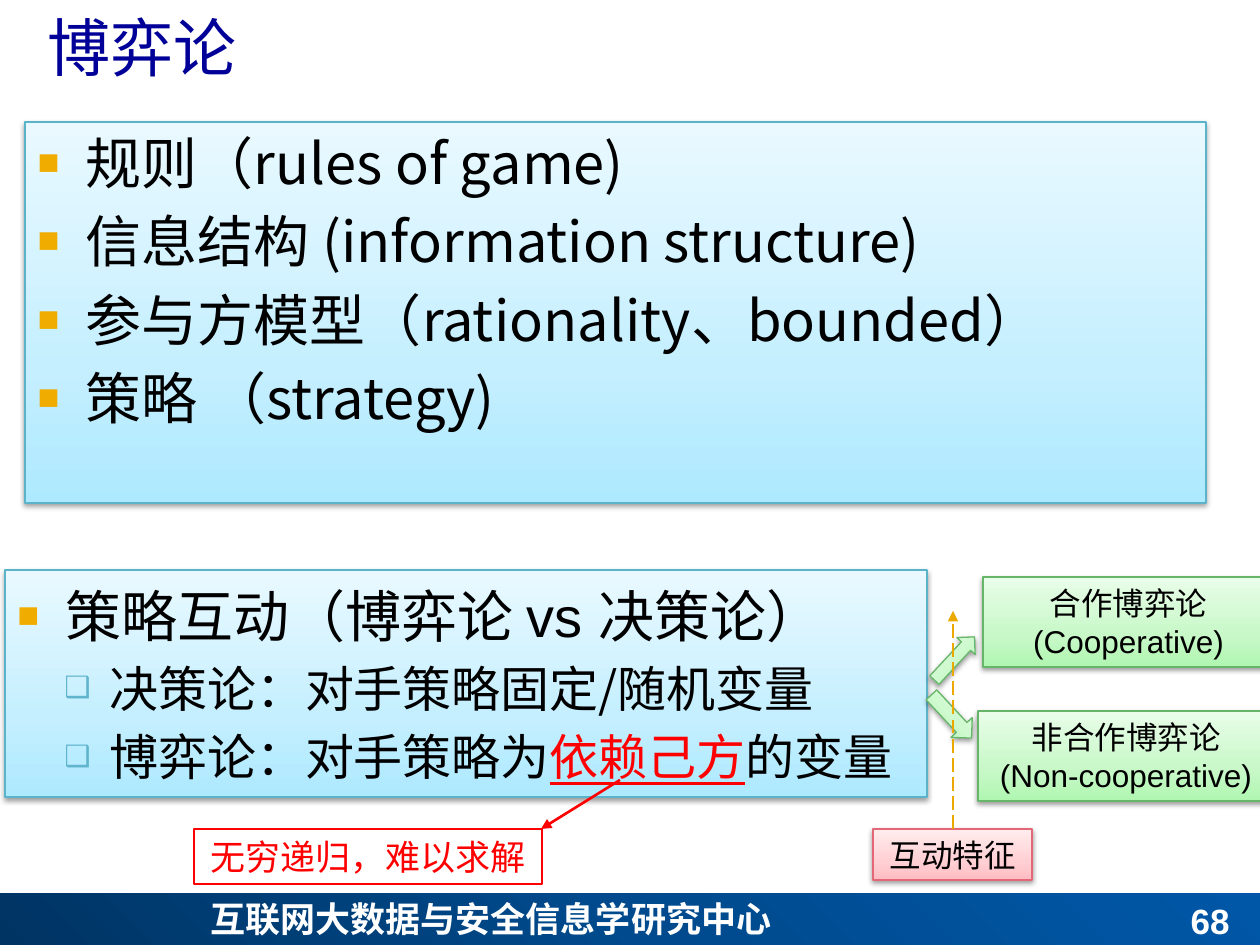
import pptx
import pptx.dml.color
import pptx.enum.dml
import pptx.enum.shapes
import pptx.enum.text
import pptx.oxml
import pptx.oxml.ns
import pptx.util

RGBColor = pptx.dml.color.RGBColor
MSO_SHAPE = pptx.enum.shapes.MSO_SHAPE
ALIGN = pptx.enum.text.PP_ALIGN
ANCHOR = pptx.enum.text.MSO_ANCHOR
qn = pptx.oxml.ns.qn

EMU_PER_PX = 914400 / 126
CJK = "Noto Sans CJK SC"
LATIN = "Arial"

BLACK = RGBColor(0x00, 0x00, 0x00)
WHITE = RGBColor(0xFF, 0xFF, 0xFF)
RED = RGBColor(0xFF, 0x00, 0x00)
NAVY = RGBColor(0x00, 0x00, 0x99)
GOLD = RGBColor(0xF0, 0xAD, 0x00)
DARK_GOLD = RGBColor(0xEB, 0xA9, 0x00)
TEAL = RGBColor(0x60, 0xB5, 0xCC)

# Each theme: gradient colours at 0, 35 and 100 %, then the outline
CYAN_THEME = ("ADE9FF", "C5EFFF", "E9F9FF"), RGBColor(0x5B, 0xB3, 0xCA)
GREEN_THEME = ("B0F6B1", "C8F8C8", "E9FDE9"), RGBColor(0x67, 0xB5, 0x69)
PINK_THEME = ("FFBCC2", "FFCFD3", "FFEDEE"), RGBColor(0xE4, 0x67, 0x78)
FOOTER_COLOURS = ("003463", "004A8D", "0057A7")

# Each bullet level: left margin and indent in px, sign, colour, size in %
BULLETS = [(48, -48, "■", GOLD, 65), (92, -45, "❑", TEAL, 60)]


def px(value):
    return pptx.util.Emu(round(value * EMU_PER_PX))


def xml(tag, content="", **attributes):
    settings = " ".join(f'{name}="{value}"' for name, value in attributes.items())
    namespace = pptx.oxml.ns.nsdecls("a")
    return pptx.oxml.parse_xml(f"<a:{tag} {namespace} {settings}>{content}</a:{tag}>")


def place(shape, left, top, width, height):
    shape.left, shape.top, shape.width, shape.height = map(px, (left, top, width, height))


def add_run(paragraph, text, size, font=CJK, colour=BLACK, bold=False, underline=False):
    run = paragraph.add_run()
    run.text = text
    run.font.size = pptx.util.Pt(size)
    run.font.name = font
    run.font.color.rgb = colour
    run.font.bold = bold
    run.font.underline = underline
    run.font._element.append(xml("ea", typeface=CJK))


def add_paragraph(frame, alignment=ALIGN.LEFT):
    first = frame.paragraphs[0]
    paragraph = frame.add_paragraph() if first.runs else first
    paragraph.alignment = alignment
    return paragraph


def add_bullet_paragraph(frame, level=0):
    is_first = not frame.paragraphs[0].runs
    paragraph = add_paragraph(frame)
    paragraph.level = level
    margin, indent, sign, colour, percent = BULLETS[level]
    properties = paragraph._p.get_or_add_pPr()
    properties.set("marL", str(px(margin)))
    properties.set("indent", str(px(indent)))
    space = 0 if is_first else 20000
    properties.append(xml("spcBef", f'<a:spcPct val="{space}"/>'))
    properties.append(xml("buClr", f'<a:srgbClr val="{colour}"/>'))
    properties.append(xml("buSzPct", val=percent * 1000))
    properties.append(xml("buFont", typeface=LATIN))
    properties.append(xml("buChar", char=sign))
    return paragraph


def fill_gradient(shape, colours, middle):
    shape.fill.gradient()
    shape.fill.gradient_angle = 90
    gradient = shape._element.spPr.find(qn("a:gradFill"))
    stops = gradient.find(qn("a:gsLst"))
    stops.clear()
    for position, colour in zip((0, middle, 100), colours):
        stops.append(xml("gs", f'<a:srgbClr val="{colour}"/>', pos=position * 1000))
    return gradient


def apply_theme(shape, theme):
    colours, outline = theme
    fill_gradient(shape, colours, 35)
    shape.line.color.rgb = outline
    shape.line.width = pptx.util.Pt(0.75)
    shape.shadow.inherit = False
    shape._element.spPr.find(qn("a:effectLst")).append(xml(
        "outerShdw", '<a:srgbClr val="000000"><a:alpha val="38000"/></a:srgbClr>',
        blurRad=pptx.util.Pt(3.1), dist=pptx.util.Pt(1.6), dir=90 * 60000, rotWithShape=0))


def add_block(slide, box, theme, kind=MSO_SHAPE.RECTANGLE, rotation=0):
    shape = slide.shapes.add_shape(kind, *map(px, box))
    apply_theme(shape, theme)
    shape.rotation = rotation
    shape.text_frame.word_wrap = True
    return shape


def add_label(slide, box, theme, lines):
    frame = add_block(slide, box, theme).text_frame
    for text, font in lines:
        add_run(add_paragraph(frame, ALIGN.CENTER), text, 18, font)


def add_text(slide, box, text, font, colour, alignment, bold=False, anchor=ANCHOR.TOP):
    shape = slide.shapes.add_textbox(*map(px, box))
    shape.text_frame.word_wrap = True
    shape.text_frame.vertical_anchor = anchor
    add_run(add_paragraph(shape.text_frame, alignment), text, 20, font, colour, bold)
    return shape


def add_arrow(slide, start, end, colour, width, dash=None):
    connector = slide.shapes.add_connector(
        pptx.enum.shapes.MSO_CONNECTOR.STRAIGHT, *map(px, start + end))
    connector.line.color.rgb = colour
    connector.line.width = pptx.util.Pt(width)
    if dash:
        connector.line.dash_style = dash
    connector.line._get_or_add_ln().append(xml("tailEnd", type="triangle"))
    connector._element.spPr.append(xml("effectLst"))


def add_footer(slide):
    band = slide.shapes.add_shape(MSO_SHAPE.RECTANGLE, *map(px, (0, 893, 1260, 55)))
    band.line.fill.background()
    band.shadow.inherit = False
    gradient = fill_gradient(band, FOOTER_COLOURS, 50)
    gradient.replace(gradient.find(qn("a:lin")), xml(
        "path", '<a:fillToRect t="100000" r="100000"/>', path="circle"))
    add_text(slide, (198, 891, 863, 55), "互联网大数据与安全信息学研究中心",
             CJK, WHITE, ALIGN.JUSTIFY, bold=True)
    add_text(slide, (948, 893, 294, 55), "68", LATIN, WHITE, ALIGN.RIGHT,
             bold=True, anchor=ANCHOR.BOTTOM)


def fill_title(title):
    place(title, 35, -4, 1225, 100)
    title.text_frame.vertical_anchor = ANCHOR.MIDDLE
    title.text_frame.auto_size = pptx.enum.text.MSO_AUTO_SIZE.NONE
    add_run(add_paragraph(title.text_frame), "博弈论", 36, colour=NAVY)


def fill_elements(body):
    place(body, 25, 122, 1181, 381)
    apply_theme(body, CYAN_THEME)
    body.text_frame.auto_size = pptx.enum.text.MSO_AUTO_SIZE.NONE
    for text in ("规则（rules of game)", "信息结构 (information structure)",
                 "参与方模型（rationality、bounded）", "策略 （strategy)"):
        add_run(add_bullet_paragraph(body.text_frame), text, 32)


def add_interaction(slide):
    frame = add_block(slide, (5, 570, 922, 227), CYAN_THEME).text_frame
    heading = add_bullet_paragraph(frame)
    add_run(heading, "策略互动（博弈论 ", 32)
    add_run(heading, "vs ", 32, LATIN)
    add_run(heading, "决策论）", 32)
    add_run(add_bullet_paragraph(frame, 1), "决策论：对手策略固定/随机变量", 28)
    game = add_bullet_paragraph(frame, 1)
    add_run(game, "博弈论：对手策略为", 28)
    add_run(game, "依赖己方", 28, colour=RED, underline=True)
    add_run(game, "的变量", 28)


def main():
    presentation = pptx.Presentation()
    presentation.slide_width, presentation.slide_height = px(1260), px(945)
    slide = presentation.slides.add_slide(presentation.slide_layouts[1])

    # Title, main list and footer
    add_footer(slide)
    fill_title(slide.shapes.title)
    fill_elements(slide.placeholders[1])

    # Strategic interaction and its two branches
    add_interaction(slide)
    add_block(slide, (925, 646, 59, 25), GREEN_THEME, MSO_SHAPE.RIGHT_ARROW, 312.9)
    add_label(slide, (983, 577, 291, 90), GREEN_THEME,
              [("合作博弈论", CJK), ("(Cooperative)", LATIN)])
    add_label(slide, (978, 711, 296, 90), GREEN_THEME,
              [("非合作博弈论", CJK), ("(Non-cooperative)", LATIN)])
    add_block(slide, (922, 702, 59, 29), GREEN_THEME, MSO_SHAPE.RIGHT_ARROW, 47.1)

    # Callouts
    add_label(slide, (873, 829, 159, 51), PINK_THEME, [("互动特征", CJK)])
    add_arrow(slide, (953, 829), (953, 611), DARK_GOLD, 1,
              pptx.enum.dml.MSO_LINE.LONG_DASH)
    note = add_text(slide, (194, 829, 348, 55), "无穷递归，难以求解", CJK, RED, ALIGN.CENTER)
    note.line.color.rgb = RED
    note.line.width = pptx.util.Pt(0.75)
    add_arrow(slide, (620, 780), (541, 829), RED, 1.5)

    presentation.save("out.pptx")


if __name__ == "__main__":
    main()
